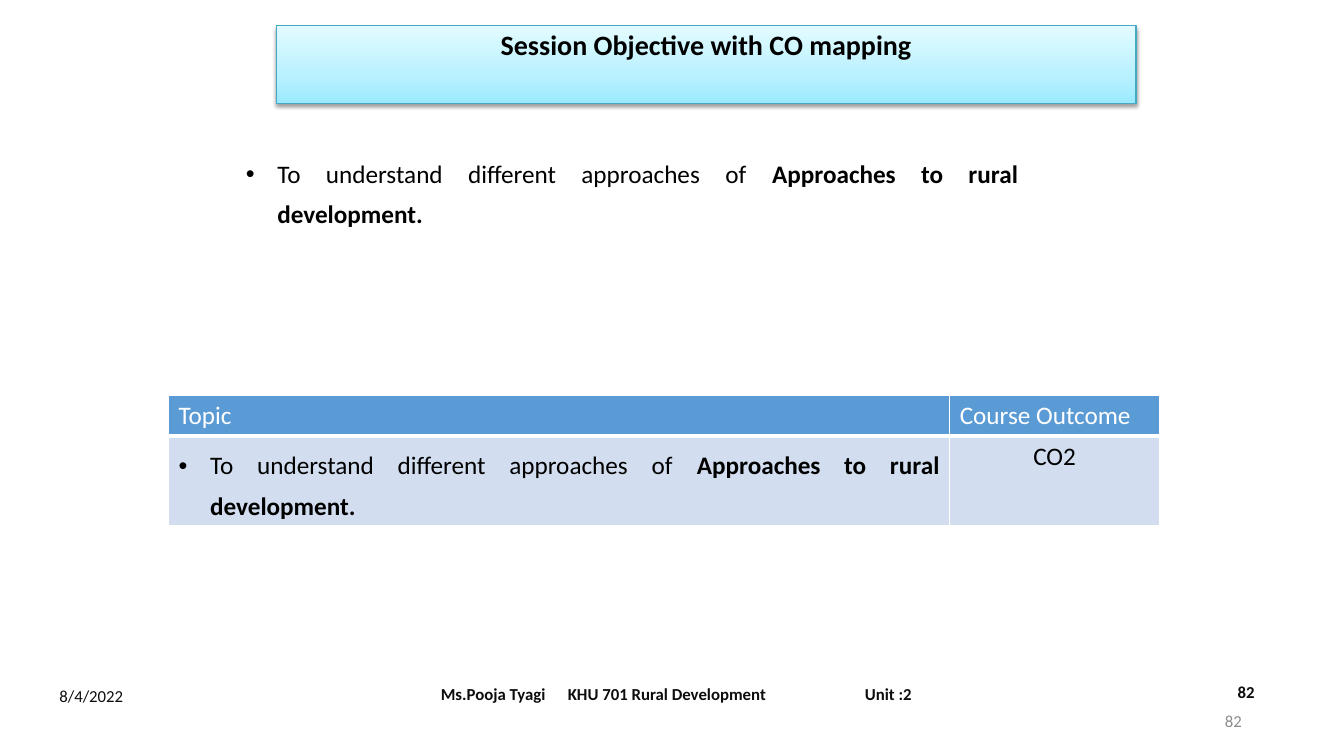
from dataclasses import dataclass

from pptx import Presentation
from pptx import oxml
from pptx import util as u
from pptx.dml.color import RGBColor
from pptx.enum import shapes, text
from pptx.oxml import ns

FONT = "Calibri"
BLACK = RGBColor(0x00, 0x00, 0x00)
WHITE = RGBColor(0xFF, 0xFF, 0xFF)
FOOTER_INK = RGBColor(0x0D, 0x0D, 0x0D)
NUMBER_GREY = RGBColor(0x8C, 0x8C, 0x8C)
BANNER_LINE = RGBColor(0x45, 0xA9, 0xC4)
HEADER_BLUE = RGBColor(0x5B, 0x9B, 0xD5)
BODY_BLUE = RGBColor(0xD2, 0xDE, 0xEF)
# Banner gradient, from bottom to top: percent and colour
BANNER_STOPS = (
    (0, RGBColor(0x9B, 0xE9, 0xFF)),
    (35, RGBColor(0xB8, 0xF1, 0xFF)),
    (100, RGBColor(0xE2, 0xFB, 0xFF)),
)
BULLET_INDENT = 22.5
FOOTER_TABS = (36.4, 127.1, 339.3)

LEFT, CENTER, RIGHT, JUSTIFY = (
    text.PP_ALIGN.LEFT, text.PP_ALIGN.CENTER, text.PP_ALIGN.RIGHT, text.PP_ALIGN.JUSTIFY)
TOP, MIDDLE = text.MSO_ANCHOR.TOP, text.MSO_ANCHOR.MIDDLE


@dataclass(frozen=True)
class Run:
    words: str
    size: float
    color: RGBColor = BLACK
    bold: bool = False


@dataclass(frozen=True)
class TextBox:
    left: float
    top: float
    width: float
    height: float
    runs: tuple[Run, ...]
    align: text.PP_ALIGN = LEFT
    anchor: text.MSO_ANCHOR = MIDDLE
    tabs: tuple[float, ...] = ()
    bulleted: bool = False


@dataclass(frozen=True)
class Cell:
    runs: tuple[Run, ...]
    fill: RGBColor
    align: text.PP_ALIGN = LEFT
    bulleted: bool = False


OBJECTIVE = (
    Run("To understand different approaches of ", 18),
    Run("Approaches to rural development.", 18, bold=True),
)

TEXT_BOXES = (
    TextBox(271.4, 481, 423.4, 28.8,
            (Run("\tMs.Pooja Tyagi\tKHU 701 Rural Development\tUnit :2", 12, FOOTER_INK, True),),
            tabs=FOOTER_TABS),
    TextBox(35.3, 479.5, 170.6, 35.3, (Run("8/4/2022", 12, FOOTER_INK),)),
    TextBox(877, 483.1, 83, 29.5, (Run("82", 12, FOOTER_INK, True),), anchor=TOP),
    TextBox(168.5, 103, 565.9, 64.1, OBJECTIVE, JUSTIFY, TOP, bulleted=True),
    TextBox(678.2, 500.4, 216, 28.8, (Run("82", 12, NUMBER_GREY),), RIGHT),
)

COLUMN_WIDTHS = (558, 149.8)
ROW_HEIGHTS = (29.2, 63.7)
TABLE_ROWS = (
    (Cell((Run("Topic", 18, WHITE),), HEADER_BLUE),
     Cell((Run("Course Outcome", 18, WHITE),), HEADER_BLUE)),
    (Cell(OBJECTIVE, BODY_BLUE, JUSTIFY, True),
     Cell((Run("CO2", 18),), BODY_BLUE, CENTER)),
)


def add_runs(paragraph, runs: tuple[Run, ...], align: text.PP_ALIGN) -> None:
    paragraph.alignment = align
    for item in runs:
        run = paragraph.add_run()
        run.text = item.words
        run.font.name = FONT
        run.font.size = u.Pt(item.size)
        run.font.bold = item.bold
        run.font.color.rgb = item.color


def add_bullet(paragraph) -> None:
    paragraph.line_spacing = 1.31
    properties = paragraph._p.get_or_add_pPr()
    properties.set("marL", str(u.Pt(BULLET_INDENT)))
    properties.set("indent", str(-u.Pt(BULLET_INDENT)))
    color = oxml.parse_xml(
        f'<a:buClr {ns.nsdecls("a")}><a:srgbClr val="{BLACK}"/></a:buClr>')
    font = oxml.parse_xml(f'<a:buFont {ns.nsdecls("a")} typeface="Arial"/>')
    mark = oxml.parse_xml(f'<a:buChar {ns.nsdecls("a")} char="•"/>')
    properties.extend((color, font, mark))


def add_tabs(paragraph, positions: tuple[float, ...]) -> None:
    stops = "".join(f'<a:tab pos="{u.Pt(position)}" algn="l"/>' for position in positions)
    paragraph._p.get_or_add_pPr().append(
        oxml.parse_xml(f'<a:tabLst {ns.nsdecls("a")}>{stops}</a:tabLst>'))


def add_banner(slide) -> None:
    shape = slide.shapes.add_shape(
        shapes.MSO_SHAPE.RECTANGLE, u.Pt(197.3), u.Pt(18.5), u.Pt(614.2), u.Pt(55.6))
    shape.line.color.rgb = BANNER_LINE
    shape.line.width = u.Pt(0.75)
    shape.shadow.inherit = False
    properties = shape._element.spPr

    # Gradient fill goes right after the geometry
    stops = "".join(f'<a:gs pos="{percent * 1000}"><a:srgbClr val="{color}"/></a:gs>'
                    for percent, color in BANNER_STOPS)
    properties.find(ns.qn("a:prstGeom")).addnext(oxml.parse_xml(
        f'<a:gradFill {ns.nsdecls("a")} rotWithShape="1"><a:gsLst>{stops}</a:gsLst>'
        '<a:lin ang="16200000" scaled="0"/></a:gradFill>'))
    # Soft shadow below
    properties.find(ns.qn("a:effectLst")).append(oxml.parse_xml(
        f'<a:outerShdw {ns.nsdecls("a")} blurRad="{u.Pt(3.1)}" dist="{u.Pt(1.6)}" '
        f'dir="5400000" rotWithShape="0"><a:srgbClr val="{BLACK}">'
        '<a:alpha val="38000"/></a:srgbClr></a:outerShdw>'))

    frame = shape.text_frame
    frame.word_wrap = True
    frame.vertical_anchor = TOP
    paragraph = frame.paragraphs[0]
    paragraph.line_spacing = 0.9
    add_runs(paragraph, (Run("Session Objective with CO mapping", 20, bold=True),), CENTER)


def add_text_box(slide, box: TextBox) -> None:
    shape = slide.shapes.add_textbox(
        u.Pt(box.left), u.Pt(box.top), u.Pt(box.width), u.Pt(box.height))
    frame = shape.text_frame
    frame.word_wrap = True
    frame.vertical_anchor = box.anchor
    paragraph = frame.paragraphs[0]
    add_runs(paragraph, box.runs, box.align)
    if box.bulleted:
        frame.auto_size = text.MSO_AUTO_SIZE.SHAPE_TO_FIT_TEXT
        add_bullet(paragraph)
    if box.tabs:
        add_tabs(paragraph, box.tabs)


def set_borders(cell, top: float, bottom: float) -> None:
    properties = cell._tc.get_or_add_tcPr()
    sides = (("lnL", 1), ("lnR", 1), ("lnT", top), ("lnB", bottom))
    for index, (side, width) in enumerate(sides):
        properties.insert(index, oxml.parse_xml(
            f'<a:{side} {ns.nsdecls("a")} w="{u.Pt(width)}"><a:solidFill>'
            f'<a:srgbClr val="{WHITE}"/></a:solidFill></a:{side}>'))


def add_outcome_table(slide) -> None:
    table = slide.shapes.add_table(
        len(ROW_HEIGHTS), len(COLUMN_WIDTHS), u.Pt(120.4), u.Pt(282.4),
        u.Pt(sum(COLUMN_WIDTHS)), u.Pt(sum(ROW_HEIGHTS))).table
    table.first_row = table.horz_banding = False
    for column, width in zip(table.columns, COLUMN_WIDTHS):
        column.width = u.Pt(width)
    for index, (row, height, items) in enumerate(zip(table.rows, ROW_HEIGHTS, TABLE_ROWS)):
        row.height = u.Pt(height)
        for cell, item in zip(row.cells, items):
            cell.fill.solid()
            cell.fill.fore_color.rgb = item.fill
            set_borders(cell, *((1, 3) if index == 0 else (3, 1)))
            paragraph = cell.text_frame.paragraphs[0]
            add_runs(paragraph, item.runs, item.align)
            if item.bulleted:
                add_bullet(paragraph)


def main() -> None:
    presentation = Presentation()
    presentation.slide_width, presentation.slide_height = u.Pt(960), u.Pt(540)
    slide = presentation.slides.add_slide(presentation.slide_layouts[6])
    add_banner(slide)
    for box in TEXT_BOXES:
        add_text_box(slide, box)
    add_outcome_table(slide)
    presentation.save("out.pptx")


if __name__ == "__main__":
    main()
